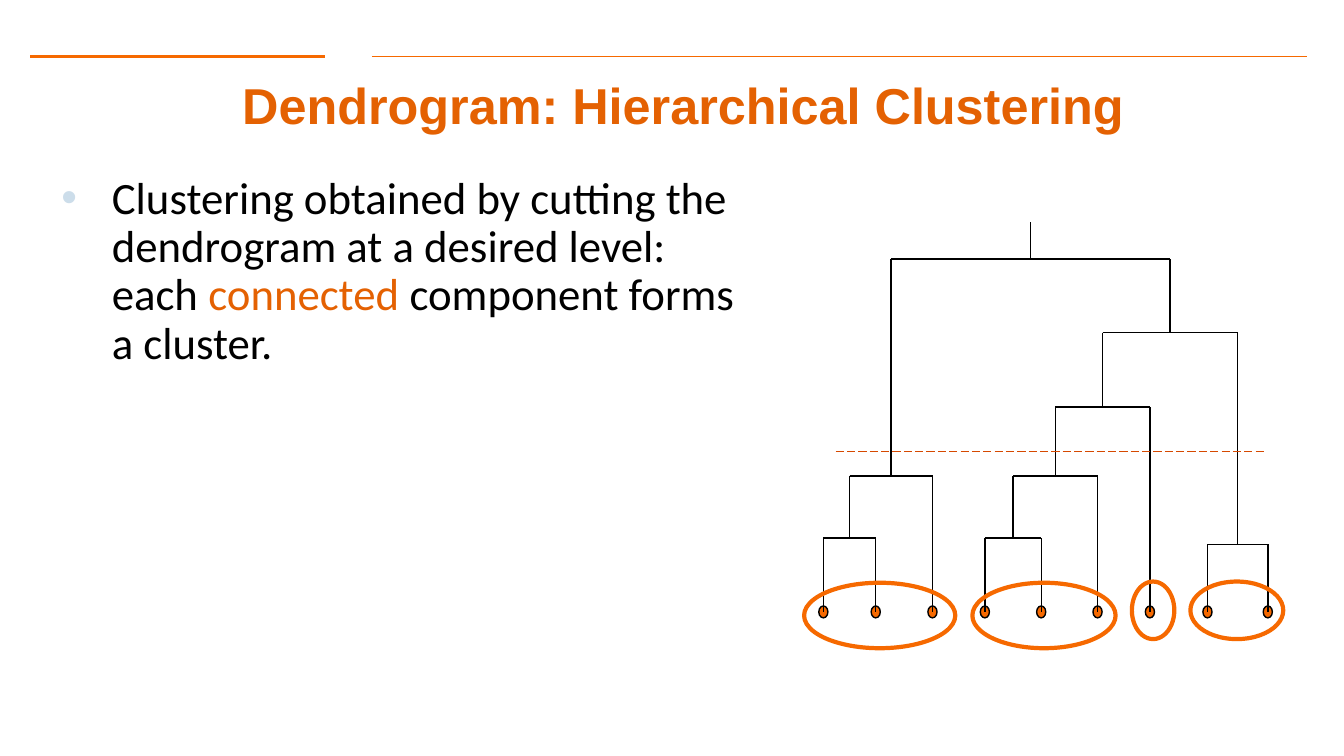
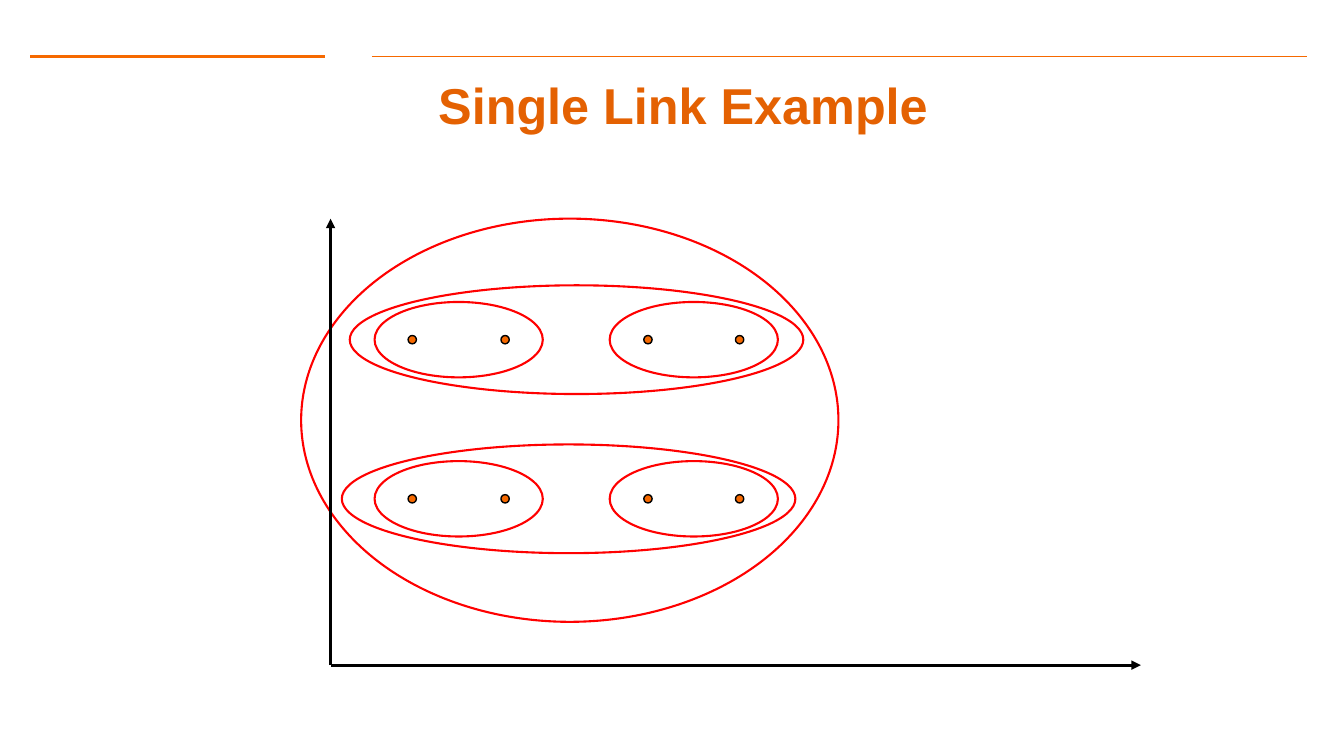
from lxml import etree
from pptx import Presentation
from pptx.dml.color import RGBColor
from pptx.enum.dml import MSO_LINE
from pptx.enum.shapes import MSO_CONNECTOR, MSO_SHAPE
from pptx.enum.text import MSO_ANCHOR, PP_ALIGN
from pptx.oxml.ns import qn
from pptx.util import Cm, Pt

STRAIGHT = MSO_CONNECTOR.STRAIGHT
OVAL = MSO_SHAPE.OVAL
LONG_DASH = MSO_LINE.LONG_DASH
MIDDLE, TOP = MSO_ANCHOR.MIDDLE, MSO_ANCHOR.TOP
CENTER = PP_ALIGN.CENTER

COLORS = {
    "accent": "F66900",
    "title": "E46102",
    "text": "000000",
    "bullet": "CCDDEA",
    "cut": "D64900",
    "link": "FF0000",
}

LEAF_XS = [20.75, 22.07, 23.5, 24.82, 26.24, 27.66, 28.98, 30.43, 31.95]
LEAF_Y = 15.42
ROOT_TOP = 5.59
TREE = (6.53,
        (11.99, (13.56, 0, 1), 2),
        (8.38,
         (10.26, (11.99, (13.56, 3, 4), 5), 6),
         (13.72, 7, 8)))
CLUSTERS = [
    (22.17, 15.51, 3.81, 1.65),
    (26.31, 15.51, 3.61, 1.65),
    (29.06, 15.38, 1.07, 1.45),
    (31.17, 15.38, 2.34, 1.45),
]

POINT_PAIRS = [(10.39, 12.73), (16.33, 18.64)]
POINT_ROWS = [8.56, 12.57]
ROW_LINK_XS = [14.53, 14.33]


def rgb(name):
    return RGBColor.from_string(COLORS[name])


def add_line(s, x1, y1, x2, y2, color="text", width=1, dash=None, arrow=False):
    c = s.shapes.add_connector(STRAIGHT, Cm(x1), Cm(y1), Cm(x2), Cm(y2))
    c.line.color.rgb = rgb(color)
    c.line.width = Pt(width)
    if dash:
        c.line.dash_style = dash
    if arrow:
        etree.SubElement(c.line._get_or_add_ln(), qn("a:tailEnd"), type="triangle")
    etree.SubElement(c._element.spPr, qn("a:effectLst"))


def add_ellipse(s, cx, cy, w, h, color, width, fill=None):
    sp = s.shapes.add_shape(OVAL, Cm(cx - w / 2), Cm(cy - h / 2), Cm(w), Cm(h))
    sp.shadow.inherit = False
    sp.line.color.rgb = rgb(color)
    sp.line.width = Pt(width)
    if fill:
        sp.fill.solid()
        sp.fill.fore_color.rgb = rgb(fill)
    else:
        sp.fill.background()


def add_dot(s, cx, cy, w, h):
    add_ellipse(s, cx, cy, w, h, "text", 1, fill="accent")


def add_text(s, x, y, w, h, runs, font, size, bold=False, anchor=TOP):
    tf = s.shapes.add_textbox(Cm(x), Cm(y), Cm(w), Cm(h)).text_frame
    tf.word_wrap = True
    tf.vertical_anchor = anchor
    tf.margin_left = tf.margin_right = tf.margin_top = tf.margin_bottom = Cm(0.33)
    p = tf.paragraphs[0]
    for text, color in runs:
        r = p.add_run()
        r.text = text
        r.font.name = font
        r.font.size = Pt(size)
        r.font.bold = bold
        r.font.color.rgb = rgb(color)
    return p


def set_bullet(p, indent):
    pPr = p._p.get_or_add_pPr()
    pPr.set("marL", str(Cm(indent)))
    pPr.set("indent", str(-Cm(indent)))
    color = etree.SubElement(pPr, qn("a:buClr"))
    etree.SubElement(color, qn("a:srgbClr"), val=COLORS["bullet"])
    etree.SubElement(pPr, qn("a:buFont"), typeface="Arial")
    etree.SubElement(pPr, qn("a:buChar"), char="•")


def add_slide(prs, title):
    s = prs.slides.add_slide(prs.slide_layouts[6])
    add_line(s, 0.76, 1.42, 8.18, 1.42, "accent", 2)
    add_line(s, 9.37, 1.42, 32.94, 1.42, "accent", 1)
    p = add_text(s, 1.98, 1.93, 30.48, 1.4, [(title, "title")],
                 "Arial", 36, bold=True, anchor=MIDDLE)
    p.alignment = CENTER
    return s


def add_branch(s, node):
    if isinstance(node, int):
        return LEAF_XS[node], LEAF_Y
    level, *children = node
    tops = [add_branch(s, child) for child in children]
    for x, y in tops:
        add_line(s, x, level, x, y)
    left, right = [x for x, _ in tops]
    add_line(s, left, level, right, level)
    return (left + right) / 2, level


def build_dendrogram(prs):
    s = add_slide(prs, "Dendrogram: Hierarchical Clustering")
    p = add_text(s, 1.22, 4.09, 18.03, 14.22, [
        ("Clustering obtained by cutting the dendrogram at a desired level: each ", "text"),
        ("connected", "title"),
        (" component forms a cluster.", "text"),
    ], "Calibri", 32)
    p.line_spacing = 0.9
    set_bullet(p, 1.27)
    for x in LEAF_XS:
        add_dot(s, x, LEAF_Y, 0.23, 0.3)
    root_x, root_y = add_branch(s, TREE)
    add_line(s, root_x, root_y, root_x, ROOT_TOP)
    add_line(s, 21.06, 11.38, 31.85, 11.38, "cut", 0.75, dash=LONG_DASH)
    for cluster in CLUSTERS:
        add_ellipse(s, *cluster, "accent", 3)


def build_single_link(prs):
    s = add_slide(prs, "Single Link Example")
    for y, link_x in zip(POINT_ROWS, ROW_LINK_XS):
        for pair in POINT_PAIRS:
            for x in pair:
                add_dot(s, x, y, 0.21, 0.21)
            add_ellipse(s, sum(pair) / 2, y, 4.24, 1.9, "link", 1.5)
        add_ellipse(s, link_x, y, 11.43, 2.74, "link", 1.5)
    add_ellipse(s, 14.36, 10.59, 13.54, 10.16, "link", 1.5)
    for end_x, end_y in [(8.33, 5.51), (28.75, 16.76)]:
        add_line(s, 8.33, 16.76, end_x, end_y, width=2.25, arrow=True)


def main():
    prs = Presentation()
    prs.slide_width, prs.slide_height = Cm(33.87), Cm(19.05)
    build_dendrogram(prs)
    build_single_link(prs)
    prs.save("out.pptx")


if __name__ == "__main__":
    main()
